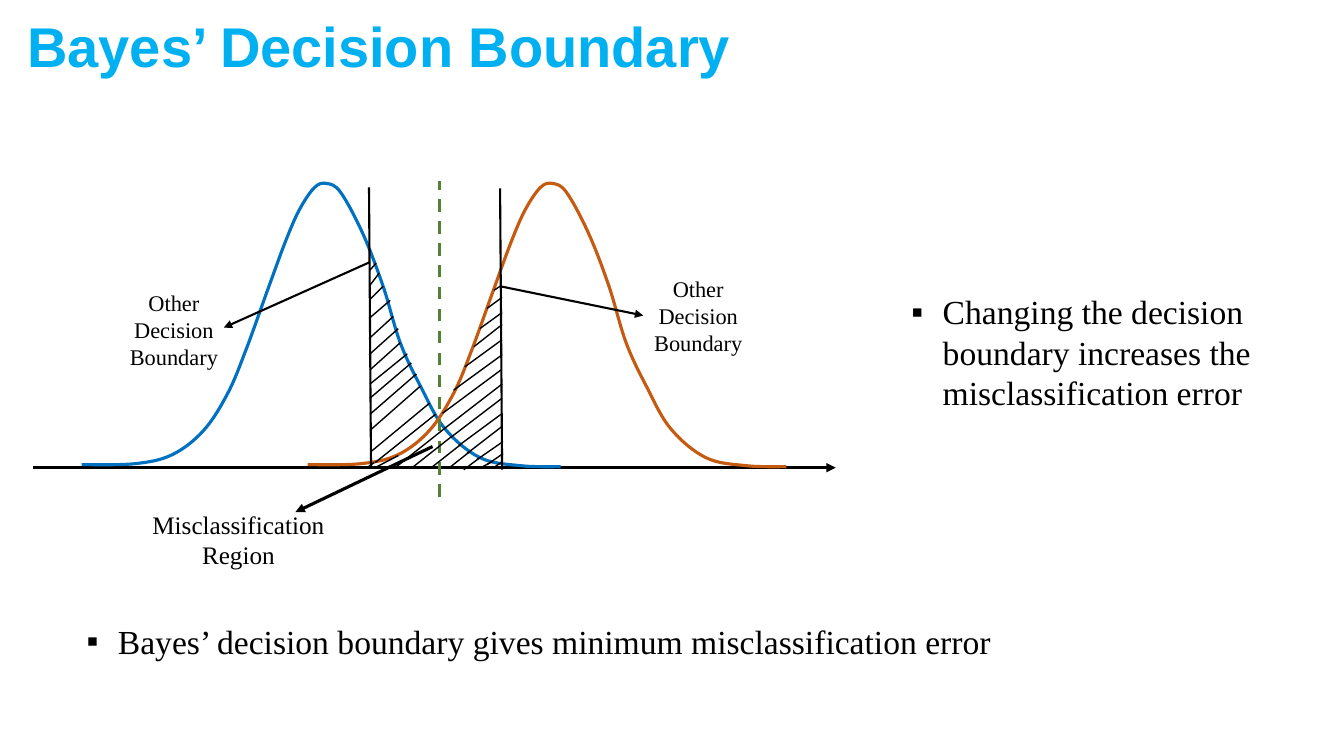
from lxml.etree import SubElement
from pptx import Presentation
from pptx.dml.color import RGBColor
from pptx.enum.dml import MSO_LINE
from pptx.enum.shapes import MSO_CONNECTOR
from pptx.enum.text import MSO_ANCHOR, MSO_AUTO_SIZE, PP_ALIGN
from pptx.oxml.ns import qn
from pptx.util import Inches, Pt

BLACK = "000000"
CLASS_SHIFT = 2.24
BELL_POINTS = [
    (0.81, 4.61), (1.34, 4.6), (1.71, 4.51), (2.02, 4.27), (2.26, 3.9),
    (2.44, 3.47), (2.65, 2.89), (2.83, 2.4), (2.97, 2.08), (3.12, 1.86),
    (3.24, 1.82), (3.38, 1.91), (3.6, 2.32), (3.8, 2.84), (3.97, 3.4),
    (4.17, 3.83), (4.41, 4.25), (4.76, 4.54), (5.16, 4.62), (5.56, 4.63),
]
OVERLAP_HATCH = [
    (4.48, 4.33, 4.1, 4.63), (4.57, 4.41, 4.29, 4.63), (4.66, 4.48, 4.47, 4.63),
    (4.41, 4.25, 3.92, 4.64), (3.95, 4.52, 3.72, 4.64), (4.76, 4.54, 4.6, 4.66),
    (4.88, 4.58, 4.77, 4.64), (4.98, 4.58, 4.91, 4.63), (3.71, 4.59, 3.64, 4.64),
]
LEFT_HATCH = [
    (4.32, 4.11, 3.72, 4.59), (4.26, 4, 3.68, 4.48), (4.17, 3.83, 3.67, 4.27),
    (4.13, 3.71, 3.67, 4.11), (4.08, 3.6, 3.67, 3.95), (4.04, 3.51, 3.67, 3.81),
    (3.97, 3.4, 3.67, 3.67), (3.95, 3.26, 3.66, 3.52), (3.9, 3.14, 3.66, 3.36),
    (3.87, 2.98, 3.66, 3.16), (3.8, 2.84, 3.67, 2.97), (3.76, 2.71, 3.67, 2.83),
    (3.73, 2.61, 3.67, 2.68),
]
RIGHT_HATCH = [
    (4.96, 2.84, 4.9, 2.88), (4.41, 4.25, 4.98, 3.81), (4.47, 4.34, 4.98, 3.95),
    (4.55, 4.42, 4.97, 4.11), (4.63, 4.5, 4.98, 4.23), (4.73, 4.56, 4.99, 4.38),
    (4.83, 4.61, 4.99, 4.5), (4.39, 4.1, 4.97, 3.67), (4.5, 3.87, 4.98, 3.52),
    (4.61, 3.64, 4.98, 3.37), (4.7, 3.44, 4.98, 3.22), (4.76, 3.26, 4.98, 3.1),
    (4.83, 3.06, 4.98, 2.95),
]


def color(hex_code):
    return RGBColor.from_string(hex_code)


def bezier_points(anchors):
    padded = [anchors[0], *anchors, anchors[-1]]
    points = []
    for before, start, end, after in zip(padded, padded[1:], padded[2:], padded[3:]):
        points.append([s + (e - b) / 6 for b, s, e in zip(before, start, end)])
        points.append([e - (a - s) / 6 for s, e, a in zip(start, end, after)])
        points.append(end)
    return points


class SlideBuilder:
    """Draw styled elements on the current slide."""

    heading_font = "Arial"
    text_font = "Times New Roman"

    def __init__(self, page):
        self.page = page

    def fill_text(self, box, text, bounds, size, font_name, hex_code=BLACK, bold=False,
                  align=PP_ALIGN.LEFT, bullet=None):
        box.left, box.top, box.width, box.height = map(Inches, bounds)
        frame = box.text_frame
        frame.word_wrap = True
        frame.auto_size = MSO_AUTO_SIZE.NONE
        frame.vertical_anchor = MSO_ANCHOR.TOP
        frame.text = text
        para = frame.paragraphs[0]
        para.alignment = align
        para.space_before = Pt(0)
        if bullet:
            settings = para._p.get_or_add_pPr()
            settings.set("marL", str(Inches(0.31)))
            settings.set("indent", str(-Inches(0.31)))
            SubElement(settings, qn("a:buChar"), char=bullet)
        para.font.name = font_name
        para.font.size = Pt(size)
        para.font.bold = bold
        para.font.color.rgb = color(hex_code)

    def title(self, text, bounds):
        self.fill_text(self.page.shapes.title, text, bounds, 40, self.heading_font,
                       "00B0F0", bold=True)

    def bullet(self, index, text, bounds):
        self.fill_text(self.page.placeholders[index], text, bounds, 24, self.text_font,
                       bullet="▪")

    def label(self, text, bounds, size):
        box = self.page.shapes.add_textbox(0, 0, 0, 0)
        self.fill_text(box, text, bounds, size, self.text_font, align=PP_ALIGN.CENTER)

    def line(self, ends, width, hex_code=BLACK, dash=None, arrow=False, shapes=None):
        shapes = shapes or self.page.shapes
        connector = shapes.add_connector(MSO_CONNECTOR.STRAIGHT, *map(Inches, ends))
        connector.line.color.rgb = color(hex_code)
        connector.line.width = Pt(width)
        if dash:
            connector.line.dash_style = dash
        properties = connector._element.spPr
        if arrow:
            SubElement(properties.find(qn("a:ln")), qn("a:tailEnd"), type="triangle")
        SubElement(properties, qn("a:effectLst"))

    def hatch(self, strokes):
        group = self.page.shapes.add_group_shape()
        for ends in strokes:
            self.line(ends, 1, shapes=group.shapes)

    def curve(self, anchors, hex_code):
        builder = self.page.shapes.build_freeform(*map(Inches, anchors[0]))
        builder.add_line_segments(
            [(Inches(x), Inches(y)) for x, y in bezier_points(anchors)], close=False)
        bell = builder.convert_to_shape()
        outline = next(bell._element.iter(qn("a:path")))
        segments = outline.findall(qn("a:lnTo"))
        for start in range(0, len(segments), 3):
            cubic = SubElement(outline, qn("a:cubicBezTo"))
            for segment in segments[start:start + 3]:
                cubic.append(segment[0])
                outline.remove(segment)
        bell.shadow.inherit = False
        bell.fill.background()
        bell.line.color.rgb = color(hex_code)
        bell.line.width = Pt(2.25)


def main():
    deck = Presentation()
    deck.slide_width, deck.slide_height = Inches(13.33), Inches(7.5)
    slide = SlideBuilder(deck.slides.add_slide(deck.slide_layouts[3]))

    slide.title("Bayes’ Decision Boundary", (0.17, 0.06, 10.31, 0.77))
    slide.line((0.33, 4.64, 8.29, 4.64), 2.25, arrow=True)
    slide.curve(BELL_POINTS, "0070C0")
    slide.curve([(x + CLASS_SHIFT, y) for x, y in BELL_POINTS], "C55A11")
    slide.line((4.36, 4.93, 4.36, 1.8), 2.25, "548235", dash=MSO_LINE.DASH)

    slide.hatch(OVERLAP_HATCH)
    slide.label("Misclassification Region", (1.28, 5, 2.17, 0.71), 18)
    slide.line((4.29, 4.43, 2.93, 5.08), 2.25, arrow=True)

    boundaries = [
        ((3.66, 1.86, 3.68, 4.65), LEFT_HATCH, (3.67, 2.6, 2.22, 3.25), (1.08, 2.82)),
        ((4.96, 1.87, 4.98, 4.66), RIGHT_HATCH, (4.96, 2.84, 6.38, 3.13), (6.28, 2.68)),
    ]
    for boundary, strokes, pointer, corner in boundaries:
        slide.line(boundary, 1.5)
        slide.hatch(strokes)
        slide.line(pointer, 1.5, arrow=True)
        slide.label("Other Decision Boundary", (*corner, 1.29, 0.91), 16)

    slide.bullet(1, "Changing the decision boundary increases the misclassification error",
                 (8.94, 2.84, 3.89, 1.31))
    slide.bullet(2, "Bayes’ decision boundary gives minimum misclassification error",
                 (0.76, 6.11, 11.56, 0.5))
    deck.save("out.pptx")


if __name__ == "__main__":
    main()
